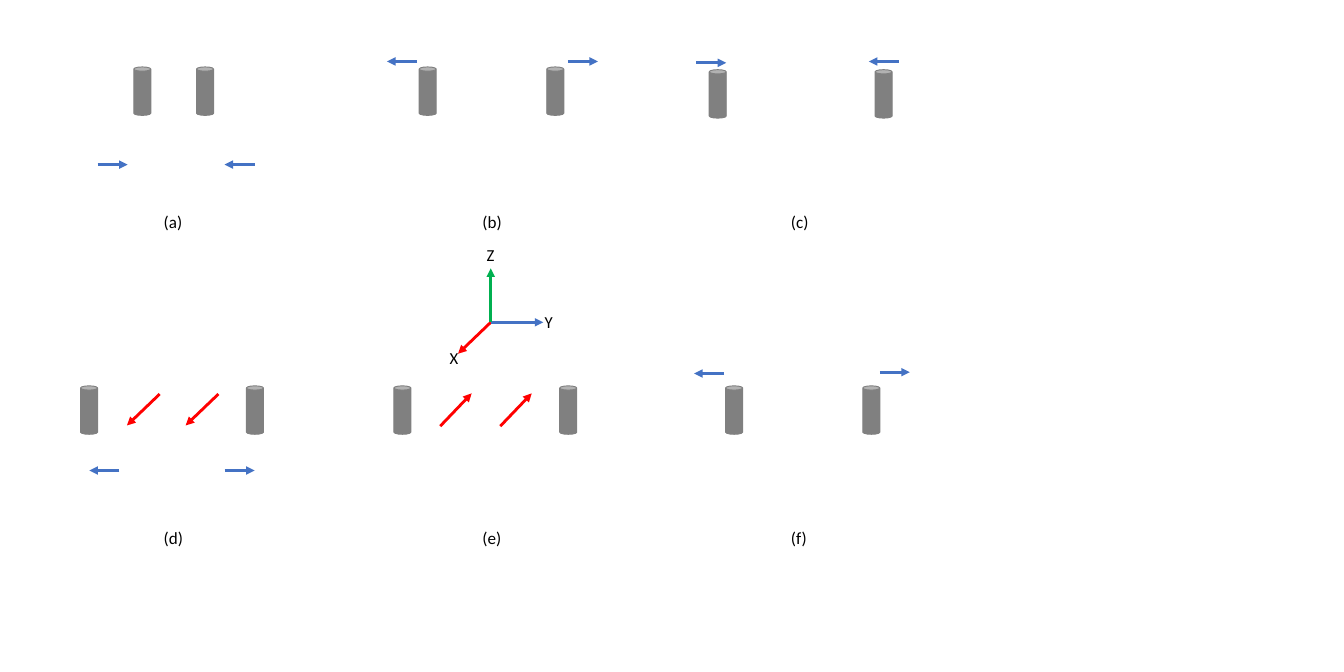
from lxml.etree import SubElement
from pptx import Presentation
from pptx.dml.color import RGBColor
from pptx.enum.shapes import MSO_CONNECTOR, MSO_SHAPE
from pptx.enum.text import MSO_AUTO_SIZE
from pptx.oxml.ns import qn
from pptx.util import Inches, Pt

BLUE, RED, GREEN, GRAY, BLACK = "4472C4", "FF0000", "00B050", "808080", "000000"
CAN_WIDTH, CAN_HEIGHT = 0.25, 0.71
LABEL_HEIGHT = 0.4
STEP = 0.44  # length of a horizontal arrow
COLUMNS = (2.3, 6.97, 11.49)  # left edges of the panel labels
ROWS = (3.05, 7.67)  # top edges of the panel labels
RIGHT, LEFT = (STEP, 0, BLUE), (-STEP, 0, BLUE)
FORWARD, BACKWARD = (-0.48, 0.46, RED), (0.46, -0.48, RED)


def add_arrow(shapes, x, y, dx, dy, color):
    arrow = shapes.add_connector(
        MSO_CONNECTOR.STRAIGHT, Inches(x), Inches(y), Inches(x + dx), Inches(y + dy))
    arrow.line.color.rgb = RGBColor.from_string(color)
    arrow.line.width = Pt(3)
    SubElement(arrow.line._get_or_add_ln(), qn("a:tailEnd"), type="triangle")
    SubElement(arrow._element.spPr, qn("a:effectLst"))


def add_label(shapes, text, left, top, width, size):
    label = shapes.add_textbox(
        Inches(left), Inches(top), Inches(width), Inches(LABEL_HEIGHT))
    frame = label.text_frame
    frame.word_wrap = False
    frame.auto_size = MSO_AUTO_SIZE.SHAPE_TO_FIT_TEXT
    frame.text = text
    font = frame.paragraphs[0].font
    font.name, font.size = "Calibri", Pt(size)
    font.color.rgb = RGBColor.from_string(BLACK)


presentation = Presentation()
presentation.slide_width = Inches(19.69)
presentation.slide_height = Inches(9.84)
slide = presentation.slides.add_slide(presentation.slide_layouts[6])

# Panels in reading order: label, label width, top of cans, left edges of cans,
# arrows as (start x, start y, direction)
panels = [
    ("(a)", 0.48, 0.98, (1.96, 2.88), [(1.43, 2.41, RIGHT), (3.73, 2.41, LEFT)]),
    ("(b)", 0.49, 0.98, (6.14, 8.01), [(6.11, 0.9, LEFT), (8.32, 0.9, RIGHT)]),
    ("(c)", 0.46, 1.02, (10.39, 12.82), [(10.2, 0.92, RIGHT), (13.17, 0.9, LEFT)]),
    ("(d)", 0.49, 5.65, (1.18, 3.61), [
        (1.75, 6.89, LEFT), (3.29, 6.89, RIGHT),
        (2.34, 5.77, FORWARD), (3.2, 5.77, FORWARD)]),
    ("(e)", 0.48, 5.65, (5.77, 8.2), [(6.45, 6.24, BACKWARD), (7.33, 6.24, BACKWARD)]),
    ("(f)", 0.44, 5.65, (10.63, 12.64), [(10.61, 5.47, LEFT), (12.89, 5.45, RIGHT)]),
]
for index, (name, name_width, can_top, can_lefts, arrows) in enumerate(panels):
    for can_left in can_lefts:
        can = slide.shapes.add_shape(
            MSO_SHAPE.CAN, Inches(can_left), Inches(can_top),
            Inches(CAN_WIDTH), Inches(CAN_HEIGHT))
        can.shadow.inherit = False
        can.fill.solid()
        can.fill.fore_color.rgb = RGBColor.from_string(GRAY)
        can.line.color.rgb = RGBColor.from_string(GRAY)
        can.line.width = Pt(1)
    for x, y, direction in arrows:
        add_arrow(slide.shapes, x, y, *direction)
    row, column = divmod(index, len(COLUMNS))
    add_label(slide.shapes, name, COLUMNS[column], ROWS[row], name_width, 18)

# Coordinate axes: name, arrow from the shared origin, label position
axes = slide.shapes.add_group_shape().shapes
origin_x, origin_y = 7.19, 4.72
for name, dx, dy, color, label_left, label_top in [
    ("X", -0.48, 0.46, RED, 6.49, 5.05),
    ("Y", 0.77, 0, BLUE, 7.88, 4.52),
    ("Z", 0, -0.79, GREEN, 7.03, 3.54),
]:
    add_arrow(axes, origin_x, origin_y, dx, dy, color)
    add_label(axes, name, label_left, label_top, 0.32, 17.7)

presentation.save("out.pptx")
